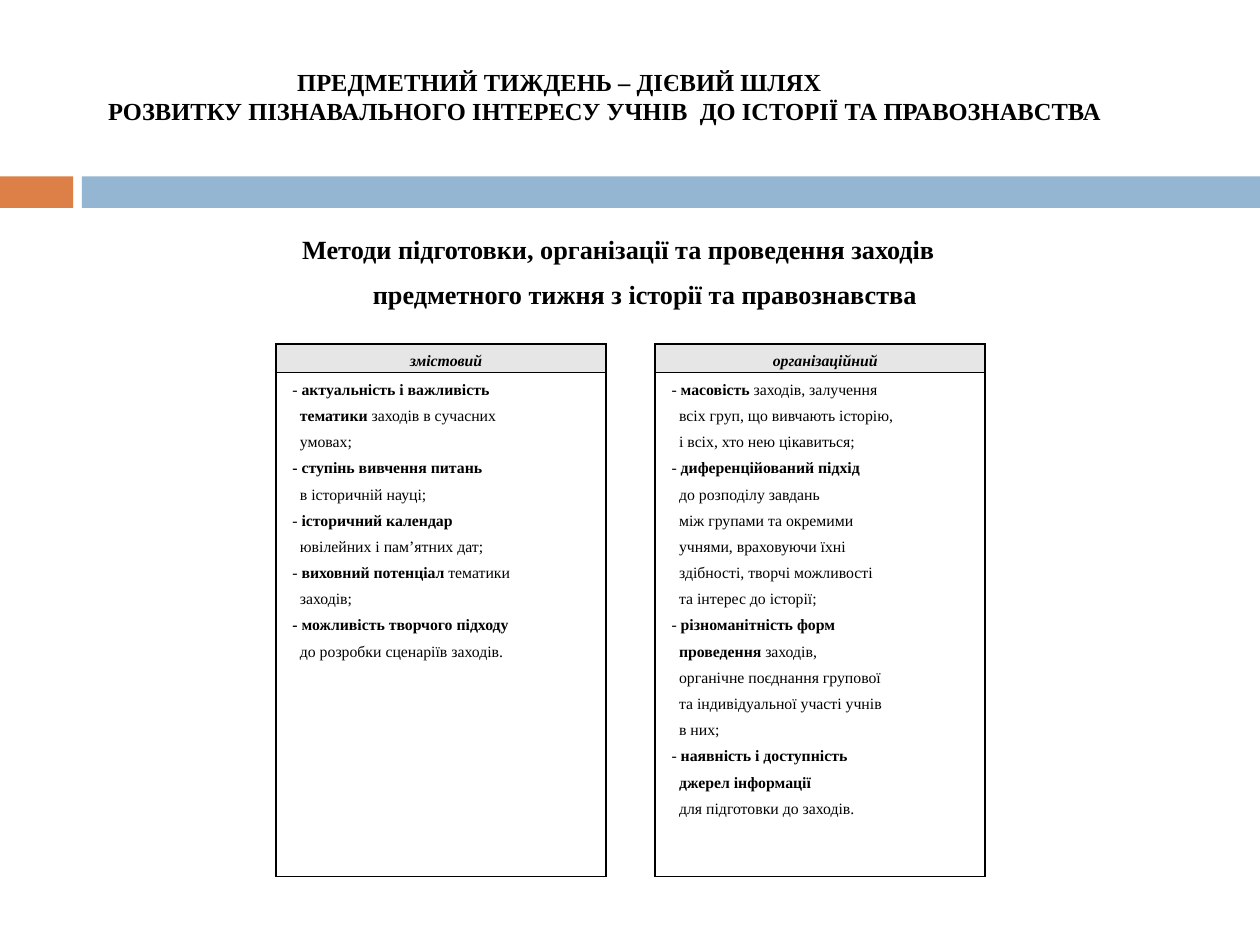
from lxml import etree
from pptx import Presentation
from pptx.dml.color import RGBColor
from pptx.enum import shapes, text
from pptx.oxml.ns import qn
from pptx.util import Inches, Pt

FONT = "Times New Roman"
TITLE = [
    ("ПРЕДМЕТНИЙ ТИЖДЕНЬ – ДІЄВИЙ ШЛЯХ", 0, 0),
    ("РОЗВИТКУ ПІЗНАВАЛЬНОГО ІНТЕРЕСУ УЧНІВ  ДО ІСТОРІЇ ТА ПРАВОЗНАВСТВА", 0.72, 0),
]
SUBTITLE = [
    ("Методи підготовки, організації та проведення заходів", 0, 0.12),
    ("предметного тижня з історії та правознавства", 0.3, 0),
]
COLUMNS = [
    ("змістовий", [
        "- *актуальність і важливість",
        "*тематики *заходів в сучасних",
        "умовах;",
        "*- ступінь вивчення питань",
        "в історичній науці;",
        "- *історичний календар",
        "ювілейних і пам’ятних дат;",
        "-* виховний потенціал *тематики",
        "заходів;",
        "*- можливість творчого підходу",
        "до розробки сценаріїв заходів.",
    ]),
    ("організаційний", [
        "- *масовість *заходів, залучення",
        "всіх груп, що вивчають історію,",
        "і всіх, хто нею цікавиться;",
        "- *диференційований підхід",
        "до розподілу завдань",
        "між групами та окремими",
        "учнями, враховуючи їхні",
        "здібності, творчі можливості",
        "та інтерес до історії;",
        "- *різноманітність форм",
        "*проведення *заходів,",
        "органічне поєднання групової",
        "та індивідуальної участі учнів",
        "в них;",
        "- *наявність і доступність",
        "*джерел інформації",
        "для підготовки до заходів.",
    ]),
]


def color(value):
    return RGBColor.from_string(value)


def style_font(paragraph, size, bold=None, italic=None):
    font = paragraph.font
    font.name, font.size, font.bold, font.italic = FONT, Pt(size), bold, italic
    font.color.rgb = color("000000")


def set_margins(paragraph, left, right=0, indent=0):
    properties = paragraph._p.get_or_add_pPr()
    for name, value in (("marL", left), ("marR", right), ("indent", indent)):
        properties.set(name, str(Inches(value)))


def next_paragraph(frame, index):
    return frame.add_paragraph() if index else frame.paragraphs[0]


def add_bands(slide, top, height):
    for left, width, fill in ((0, 0.58, "DD8047"), (0.65, 9.35, "94B6D2")):
        band = slide.shapes.add_shape(
            shapes.MSO_SHAPE.RECTANGLE,
            Inches(left), Inches(top), Inches(width), Inches(height))
        band.shadow.inherit = False
        band.fill.solid()
        band.fill.fore_color.rgb = color(fill)
        band.line.fill.background()


def add_heading(slide, box, lines, size, anchor, inset, spacing=0):
    frame = slide.shapes.add_textbox(*map(Inches, box)).text_frame
    frame.word_wrap = True
    frame.vertical_anchor = anchor
    frame.margin_top, frame.margin_bottom = Inches(inset), 0
    for index, (line, left, right) in enumerate(lines):
        paragraph = next_paragraph(frame, index)
        paragraph.text = line
        paragraph.alignment = text.PP_ALIGN.CENTER
        paragraph.space_before = Pt(spacing)
        set_margins(paragraph, left, right)
        style_font(paragraph, size, bold=True)


def set_borders(cell, sides):
    properties = cell._tc.get_or_add_tcPr()
    for index, side in enumerate(("L", "R", "T", "B")):
        line = etree.Element(qn(f"a:ln{side}"), w=str(Pt(1)))
        if side in sides:
            fill = etree.SubElement(line, qn("a:solidFill"))
            etree.SubElement(fill, qn("a:srgbClr"), val="000000")
        else:
            etree.SubElement(line, qn("a:noFill"))
        properties.insert(index, line)


def prepare_cell(cell, fill, sides="LRTB"):
    cell.margin_left = cell.margin_right = Inches(0.05)
    cell.margin_top = cell.margin_bottom = 0
    if fill:
        cell.fill.solid()
        cell.fill.fore_color.rgb = color(fill)
    else:
        cell.fill.background()
    set_borders(cell, sides)


def fill_header(cell, heading):
    prepare_cell(cell, "E6E6E6")
    paragraph = cell.text_frame.paragraphs[0]
    paragraph.text = heading
    paragraph.alignment = text.PP_ALIGN.CENTER
    paragraph.line_spacing = 1.5
    set_margins(paragraph, 0.08)
    style_font(paragraph, 9, bold=True, italic=True)


def fill_list(cell, lines):
    prepare_cell(cell, None)
    for index, line in enumerate(lines):
        paragraph = next_paragraph(cell.text_frame, index)
        paragraph.line_spacing = 1.5
        starts_item = line.lstrip("*").startswith("-")
        set_margins(paragraph, 0.14, indent=-0.06 if starts_item else 0)
        style_font(paragraph, 9)
        for part, words in enumerate(line.split("*")):
            if words:
                run = paragraph.add_run()
                run.text = words
                run.font.bold = part % 2 == 1


def add_methods_table(slide, box):
    table = slide.shapes.add_table(2, 3, *map(Inches, box)).table
    table.first_row = table.horz_banding = False
    for column, width in zip(table.columns, (2.62, 0.39, 2.62)):
        column.width = Inches(width)
    for row, height in zip(table.rows, (0.22, 4)):
        row.height = Inches(height)
    table.cell(0, 1).merge(table.cell(1, 1))
    for row in range(2):
        prepare_cell(table.cell(row, 1), None, "LR")
    for column, (heading, lines) in zip((0, 2), COLUMNS):
        fill_header(table.cell(0, column), heading)
        fill_list(table.cell(1, column), lines)


def main():
    presentation = Presentation()
    presentation.slide_width, presentation.slide_height = Inches(10), Inches(7.5)
    slide = presentation.slides.add_slide(presentation.slide_layouts[6])
    add_bands(slide, 1.4, 0.25)
    add_heading(slide, (0, 0, 8.88, 1.35), TITLE, 14, text.MSO_ANCHOR.MIDDLE, 0.18)
    add_heading(slide, (0.47, 1.8, 9, 0.8), SUBTITLE, 15, text.MSO_ANCHOR.TOP, 0.05, 8)
    add_methods_table(slide, (2.19, 2.73, 5.63, 4.22))
    presentation.save("out.pptx")


if __name__ == "__main__":
    main()
